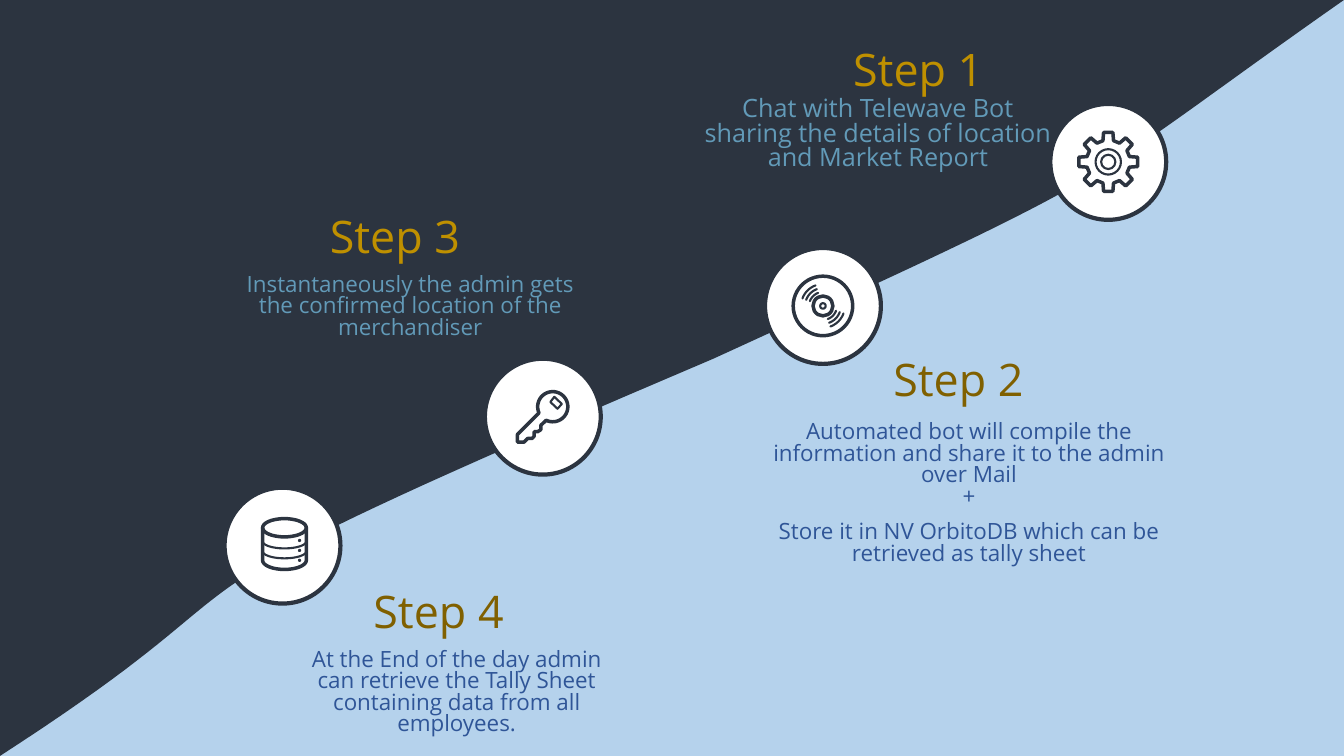
from copy import deepcopy
from math import cos, radians, sin

from lxml import etree
from pptx import Presentation
from pptx.dml.color import RGBColor
from pptx.enum import shapes, text
from pptx.oxml.ns import qn
from pptx.util import Cm, Pt

W, H = 33.87, 19.05
FONT = "Open Sans"
COLORS = {
    "dark": "2C3440", "sky": "B5D2EC", "white": "FFFFFF",
    "gold": "BF9000", "steel": "629AB8",
    "bronze": "806000", "navy": "2F5597",
}
BADGE = 2.92
THICK, THIN = 2.5, 1.5


def rgb(name):
    return RGBColor.from_string(COLORS[name])


def arc(cx, cy, rx, ry, start, end, steps=40):
    """Points along an elliptical arc, angles in degrees clockwise from the right."""
    angles = [radians(start + (end - start) * i / steps) for i in range(steps + 1)]
    return [(cx + rx * cos(a), cy + ry * sin(a)) for a in angles]


def bezier(a, b, c, d, steps=40):
    points = []
    for i in range(steps + 1):
        t = i / steps
        weights = ((1 - t) ** 3, 3 * t * (1 - t) ** 2, 3 * t * t * (1 - t), t ** 3)
        points.append(tuple(sum(w * p[k] for w, p in zip(weights, (a, b, c, d)))
                            for k in (0, 1)))
    return points


def style(sp, fill=None, line=None, width=THICK):
    sp.shadow.inherit = False
    if fill:
        sp.fill.solid()
        sp.fill.fore_color.rgb = rgb(fill)
    else:
        sp.fill.background()
    if line:
        sp.line.color.rgb = rgb(line)
        sp.line.width = Pt(width)
        ln = sp.line._get_or_add_ln()
        ln.set("cap", "rnd")
        etree.SubElement(ln, qn("a:round"))
    else:
        sp.line.fill.background()
    return sp


def outline(parent, points, closed=False, **look):
    points = [(Cm(x), Cm(y)) for x, y in points]
    builder = parent.shapes.build_freeform(*points[0])
    builder.add_line_segments(points[1:], close=closed)
    return style(builder.convert_to_shape(), **look)


def circle(parent, cx, cy, r, **look):
    sp = parent.shapes.add_shape(shapes.MSO_SHAPE.OVAL, Cm(cx - r), Cm(cy - r),
                                 Cm(2 * r), Cm(2 * r))
    return style(sp, **look)


def add_text(s, box, paragraphs, size, color, spacing=0.9, gap=0,
             anchor=text.MSO_ANCHOR.TOP):
    tf = s.shapes.add_textbox(*map(Cm, box)).text_frame
    tf.word_wrap = True
    tf.vertical_anchor = anchor
    for i, content in enumerate(paragraphs):
        p = tf.add_paragraph() if i else tf.paragraphs[0]
        p.text = content
        p.alignment = text.PP_ALIGN.CENTER
        p.line_spacing = spacing
        p.space_before = Pt(gap if i else 0)
        for r in p.runs:
            r.font.name, r.font.size = FONT, Pt(size)
            r.font.color.rgb = rgb(color)
        for br in p._p.findall(qn("a:br")):
            br.insert(0, deepcopy(p.runs[0]._r.rPr))


def gear_icon(g, cx, cy):
    profile = ((0.75, -9), (0.75, 9), (0.55, 14), (0.55, 31))
    rim = [(cx + r * cos(radians(a + tooth * 45)), cy + r * sin(radians(a + tooth * 45)))
           for tooth in range(8) for r, a in profile]
    outline(g, rim, closed=True, line="dark", width=THICK)
    for r in (0.32, 0.18):
        circle(g, cx, cy, r, line="dark", width=THIN)


def disc_icon(g, cx, cy):
    for r, width in ((0.75, THICK), (0.25, THICK), (0.07, THIN)):
        circle(g, cx, cy, r, line="dark", width=width)
    for r in (0.35, 0.45, 0.55):
        for start in (20, 200):
            outline(g, arc(cx, cy, r, r, start, start + 50), line="dark", width=THIN)


def key_icon(g, cx, cy):
    bow = arc(0.25, -0.25, 0.38, 0.38, 116, -204)
    shaft = [(-0.64, 0.45), (-0.64, 0.64), (-0.47, 0.64), (-0.38, 0.55),
             (-0.27, 0.55), (-0.22, 0.5), (-0.22, 0.38), (-0.13, 0.38),
             (-0.05, 0.33), (-0.05, 0.22)]
    hole = [(0.19, -0.37), (0.29, -0.5), (0.48, -0.32), (0.37, -0.2)]
    for points, width in ((bow + shaft, THICK), (hole, THIN)):
        outline(g, [(cx + x, cy + y) for x, y in points], closed=True,
                line="dark", width=width)


def database_icon(g, cx, cy):
    cx += 0.05
    top, bottom, rx, ry = cy - 0.45, cy + 0.37, 0.55, 0.23
    outline(g, arc(cx, top, rx, ry, 0, 360), closed=True, line="dark", width=THICK)
    body = [(cx + rx, top)] + arc(cx, bottom, rx, ry, 0, 180) + [(cx - rx, top)]
    outline(g, body, line="dark", width=THICK)
    for y in (-0.11, 0.14):
        outline(g, arc(cx, cy + y, rx, 0.18, 0, 180), line="dark", width=THIN)
    for y in (-0.13, 0.12, 0.37):
        circle(g, cx + 0.38, cy + y, 0.04, fill="dark")


def badge(s, x, y, icon):
    """White disc in a square box, with its icon in the middle."""
    g = s.shapes.add_group_shape()
    r = BADGE / 2
    circle(g, x + r, y + r, r, fill="white", line="dark", width=3)
    icon(g, x + r, y + r)


def step(s, x, y, number, body_box, body, size, colors):
    """Heading at x, y; body_box gives the body's offset from it and width."""
    heading, copy_color = colors
    dx, dy, width = body_box
    add_text(s, (x, y, 11.79, 1.63), [f"Step {number}"], 32, heading,
             anchor=text.MSO_ANCHOR.MIDDLE)
    add_text(s, (x + dx, y + dy, width, 1.57), body, size, copy_color,
             spacing=0.8, gap=10)


def backdrop(s):
    s.background.fill.solid()
    s.background.fill.fore_color.rgb = rgb("sky")
    upper = bezier((W, 0), (26.77, 4.98), (29.06, 3.96), (17.98, 9.04))
    lower = bezier((17.98, 9.04), (1.78, 15.93), (8.18, 13.77), (0, H))
    outline(s, [(0, 0)] + upper + lower[1:], closed=True, fill="dark")


ON_DARK, ON_SKY = ("gold", "steel"), ("bronze", "navy")
STEPS = [
    (4.06, 5.21, 3, (1.48, 1.6, 9.6),
     ["Instantaneously the admin gets the confirmed location of the merchandiser"],
     16, ON_DARK),
    (17.25, 0.99, 1, (0, 1.37, 9.75),
     ["Chat with Telewave Bot\vsharing the details of location and Market Report"],
     18, ON_DARK),
    (5.16, 14.66, 4, (1.93, 1.6, 8.84),
     ["At the End of the day admin can retrieve the Tally Sheet containing data "
      "from all employees."], 16, ON_SKY),
    (18.26, 8.81, 2, (0.94, 1.71, 10.44),
     ["Automated bot will compile the information and share it to the admin "
      "over Mail\v+",
      "Store it in NV OrbitoDB which can be retrieved as tally sheet"], 16, ON_SKY),
]
BADGES = [
    (26.47, 2.62, gear_icon), (19.28, 6.25, disc_icon),
    (12.22, 9.04, key_icon), (5.66, 12.29, database_icon),
]


def main():
    prs = Presentation()
    prs.slide_width, prs.slide_height = Cm(W), Cm(H)
    s = prs.slides.add_slide(prs.slide_layouts[6])
    backdrop(s)
    for item in STEPS:
        step(s, *item)
    for item in BADGES:
        badge(s, *item)
    prs.save("out.pptx")


if __name__ == "__main__":
    main()
